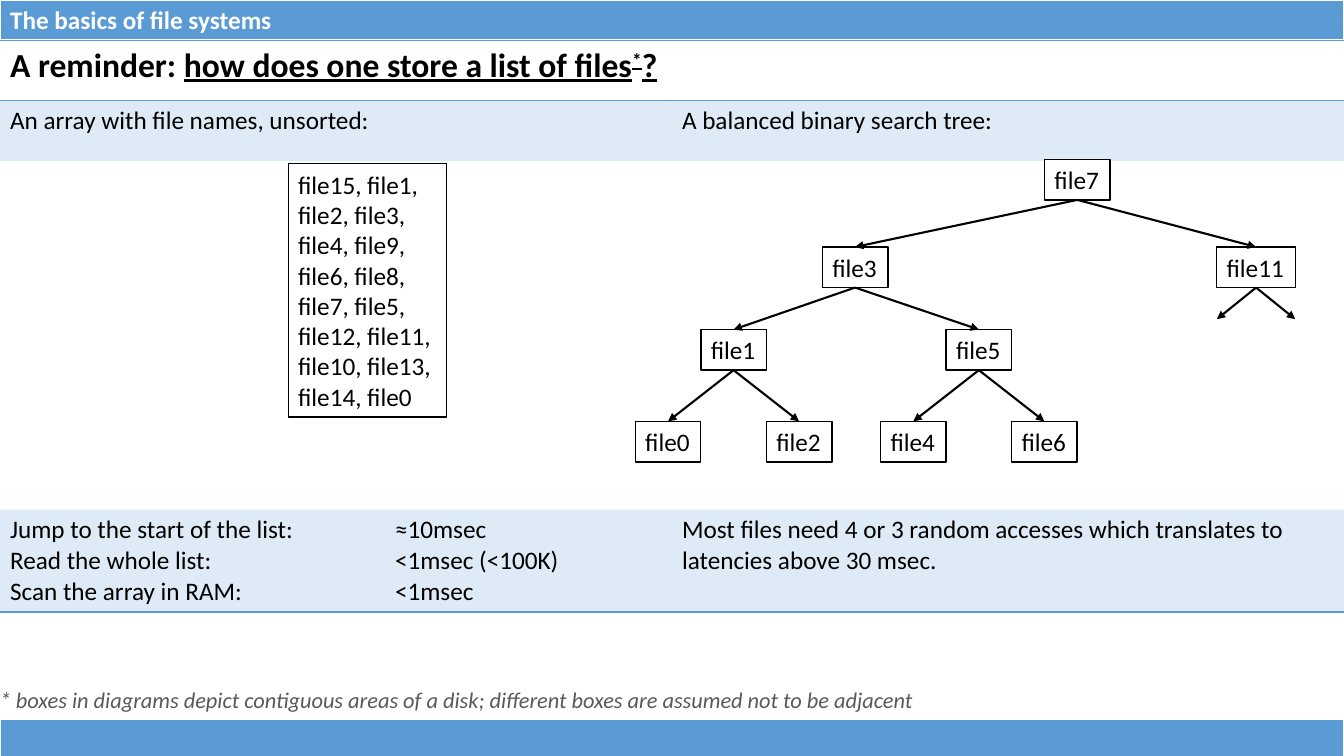
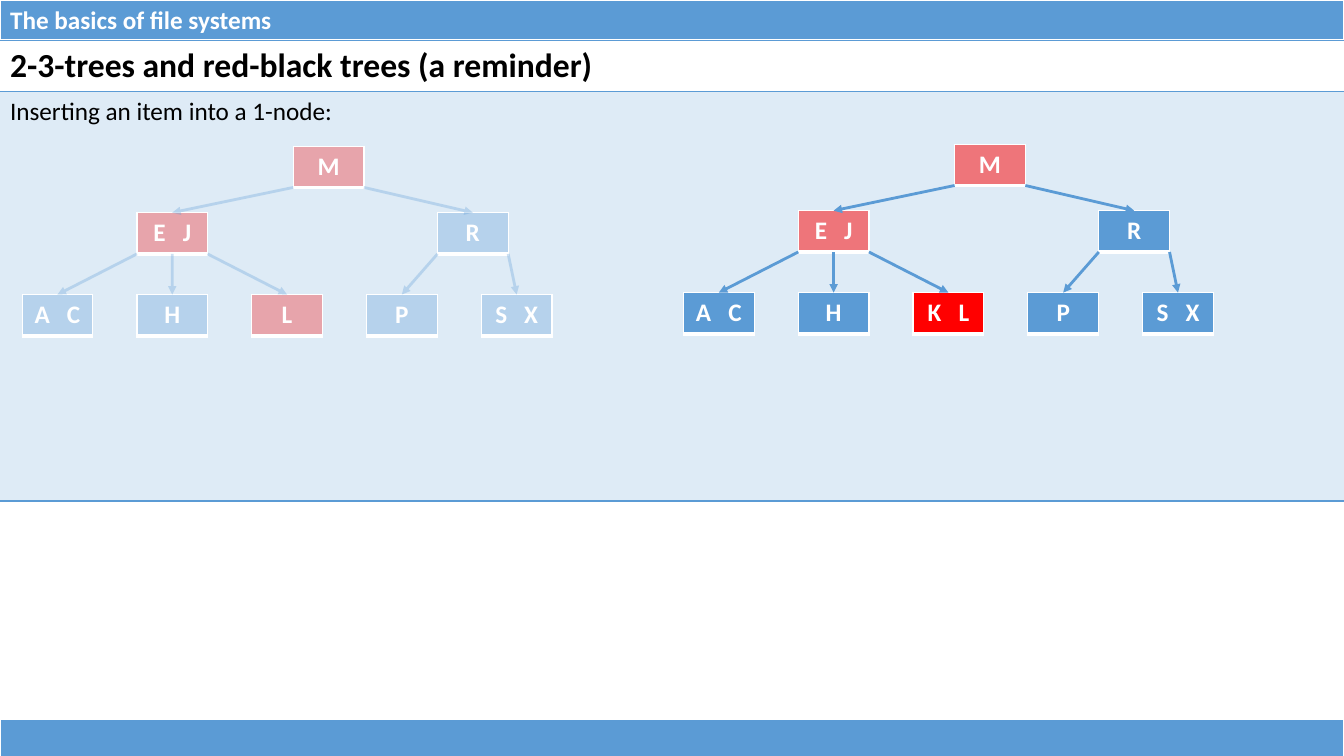
"""Build two slides on file lists and balanced search trees."""
import lxml.etree
import pptx
import pptx.dml.color
import pptx.enum.shapes
import pptx.enum.text
import pptx.oxml.ns
import pptx.util

Pt = pptx.util.Pt
qn = pptx.oxml.ns.qn

WIDE, HIGH = 960, 540
FONT = "Calibri"
BLUE, RED, BLACK, WHITE, GREY = "5B9BD5", "FF0000", "000000", "FFFFFF", "595959"
PLAIN = "{2D5ABB26-0587-4C30-8999-92F81FD0307C}"
PALE = (BLUE, 20)
FRAME = {"L": (WHITE, 1), "R": (WHITE, 1), "T": (WHITE, 1), "B": (WHITE, 3)}
RULE = {"T": (BLUE, 1), "B": (BLUE, 1)}
BASE = {"B": (BLUE, 1)}
TOPIC = "The basics of file systems"
BANDS = [(0, TOPIC), (514, "")]
BAND = 28.8

LINE = {"u": "sng"}
ASK = [
    ("A reminder: ", {}),
    ("how does one store a list of files", LINE),
    ("*", {"u": "sng", "baseline": "30000"}),
    ("?", LINE),
]
COLS = [275, 205, 480]
ROWS = [42.8, 43.5, 249, 72.5]
HEADS = ["An array with file names, unsorted:", "", "A balanced binary search tree:"]
COSTS = [
    ["Jump to the start of the list:", "Read the whole list:", "Scan the array in RAM:"],
    ["≈10msec", "<1msec (<100K)", "<1msec"],
    ["Most files need 4 or 3 random accesses which translates to latencies above 30 msec."],
]
NOTE = "* boxes in diagrams depict contiguous areas of a disk; different boxes are assumed not to be adjacent"
FILES = [
    "file15, file1,", "file2, file3,", "file4, file9,", "file6, file8,",
    "file7, file5,", "file12, file11,", "file10, file13,", "file14, file0",
]
TOPS = [113.8, 176.4, 235.4, 301]
BOX = 29
LEAF = 46.8
FORK = 28
NODES = {
    "file7": (769.5, 0, None),
    "file3": (610.8, 1, "file7"),
    "file11": (897.2, 1, "file7"),
    "file1": (524, 2, "file3"),
    "file5": (699.2, 2, "file3"),
    "file0": (524 - LEAF, 3, "file1"),
    "file2": (524 + LEAF, 3, "file1"),
    "file4": (699.2 - LEAF, 3, "file5"),
    "file6": (699.2 + LEAF, 3, "file5"),
}

TITLE = "2-3-trees and red-black trees (a reminder)"
LEAD = "Inserting an item into a 1-node:"
STEP, KEYW, KEYH = 82, 50.5, 29.5
DROPS = [0, 47.5, 106]
TREE = [
    ("M", 193.7, 0, None),
    ("E J", STEP, 1, 0),
    ("R", 296.7, 1, 0),
    ("A C", 0, 2, 1),
    ("H", STEP, 2, 1),
    ("L", 2 * STEP, 2, 1),
    ("P", 3 * STEP, 2, 2),
    ("S X", 4 * STEP, 2, 2),
]
STAGES = [
    {"at": (15.8, 104.4), "base": (BLUE, 30), "new": {},
     "hot": {0: (RED, 30), 1: (RED, 30), 5: (RED, 30)}},
    {"at": (488.2, 103), "base": (BLUE, 100), "new": {5: "K L"},
     "hot": {0: (RED, 50), 1: (RED, 50), 5: (RED, 100)}},
]


def rgb(code):
    return pptx.dml.color.RGBColor.from_string(code)


def paint(fill, code, alpha=100):
    fill.solid()
    fill.fore_color.rgb = rgb(code)
    if alpha < 100:
        tone = fill._xPr.find(qn("a:solidFill")).find(qn("a:srgbClr"))
        lxml.etree.SubElement(tone, qn("a:alpha"), val=str(alpha * 1000))


def write(frame, paras, size=18, color=BLACK, bold=False, italic=False, center=False):
    for num, runs in enumerate(paras):
        para = frame.add_paragraph() if num else frame.paragraphs[0]
        if center:
            para.alignment = pptx.enum.text.PP_ALIGN.CENTER
        for text, extra in [(runs, {})] if isinstance(runs, str) else runs:
            run = para.add_run()
            run.text = text
            font = run.font
            font.name, font.size = FONT, Pt(size)
            font.bold, font.italic = bold, italic
            font.color.rgb = rgb(color)
            for key, val in extra.items():
                run._r.get_or_add_rPr().set(key, val)


def edge(cell, sides):
    props = cell._tc.get_or_add_tcPr()
    for side in "LRTB":
        if side in sides:
            code, width = sides[side]
            line = lxml.etree.SubElement(props, qn("a:ln" + side), w=str(Pt(width)))
            fill = lxml.etree.SubElement(line, qn("a:solidFill"))
            lxml.etree.SubElement(fill, qn("a:srgbClr"), val=code)


def grid(slide, left, top, cols, rows):
    shape = slide.shapes.add_table(
        len(rows), len(cols), Pt(left), Pt(top), Pt(sum(cols)), Pt(sum(rows)))
    table = shape.table
    table.first_row = table.horz_banding = False
    table._tbl.tblPr.find(qn("a:tableStyleId")).text = PLAIN
    for col, width in zip(table.columns, cols):
        col.width = Pt(width)
    for row, height in zip(table.rows, rows):
        row.height = Pt(height)
    return table


def tile(slide, left, top, width, height, runs, fill, center=False):
    cell = grid(slide, left, top, [width], [height]).cell(0, 0)
    edge(cell, FRAME)
    paint(cell.fill, *fill)
    if runs:
        write(cell.text_frame, [runs], color=WHITE, bold=True, center=center)


def arrow(slide, start, end, width, code, alpha=100):
    kind = pptx.enum.shapes.MSO_CONNECTOR.STRAIGHT
    link = slide.shapes.add_connector(kind, *[Pt(val) for val in (*start, *end)])
    link.line.width = Pt(width)
    paint(link.line.fill, code, alpha)
    lxml.etree.SubElement(link.line._get_or_add_ln(), qn("a:tailEnd"), type="triangle")
    lxml.etree.SubElement(link._element.spPr, qn("a:effectLst"))


def box(slide, left, top, width, height, paras):
    kind = pptx.enum.shapes.MSO_SHAPE.RECTANGLE
    shape = slide.shapes.add_shape(kind, Pt(left), Pt(top), Pt(width), Pt(height))
    shape.shadow.inherit = False
    paint(shape.fill, WHITE)
    shape.line.width = Pt(1)
    paint(shape.line.fill, BLACK)
    frame = shape.text_frame
    frame.word_wrap = False
    write(frame, paras)
    for para in frame.paragraphs:
        para.alignment = pptx.enum.text.PP_ALIGN.LEFT


def start(deck):
    slide = deck.slides.add_slide(deck.slide_layouts[6])
    for top, text in BANDS:
        tile(slide, 0, top, WIDE, BAND, text, (BLUE,))
    return slide


def lists(deck):
    slide = start(deck)
    table = grid(slide, 0, BAND, COLS, ROWS)
    for num in range(len(COLS)):
        edge(table.cell(0, num), RULE)
        edge(table.cell(3, num), BASE)
        for row in (1, 3):
            paint(table.cell(row, num).fill, *PALE)
        if HEADS[num]:
            write(table.cell(1, num).text_frame, [HEADS[num]])
        write(table.cell(3, num).text_frame, COSTS[num])
    write(table.cell(0, 0).text_frame, [ASK], size=24, bold=True)
    for row, last in ((0, 2), (1, 1), (2, 1)):
        table.cell(row, 0).merge(table.cell(row, last))

    note = slide.shapes.add_textbox(Pt(-7.2), Pt(486.7), Pt(697), Pt(26.6)).text_frame
    note.word_wrap = False
    write(note, [NOTE], size=16, color=GREY, italic=True)
    box(slide, 205.9, 116.6, 113, 181.4, FILES)
    for name, (mid, level, up) in NODES.items():
        width = 46.8 if len(name) < 6 else 56.2
        box(slide, mid - width / 2, TOPS[level], width, BOX, [name])
    links = [(up, mid, TOPS[level]) for mid, level, up in NODES.values() if up]
    tip = NODES["file11"][0]
    links += [("file11", tip + side, 228) for side in (-FORK, FORK)]
    for up, mid, top in links:
        head, level, _ = NODES[up]
        arrow(slide, (head, TOPS[level] + BOX), (mid, top), 1.5, BLACK)


def trees(deck):
    slide = start(deck)
    table = grid(slide, 0, BAND, [WIDE], [36.6, 292.5])
    head, body = table.cell(0, 0), table.cell(1, 0)
    edge(head, RULE)
    edge(body, BASE)
    paint(body.fill, *PALE)
    write(head.text_frame, [TITLE], size=24, bold=True)
    write(body.text_frame, [LEAD])
    for stage in STAGES:
        left, top = stage["at"]
        for num, (keys, shift, level, up) in enumerate(TREE):
            runs = [(key, {"spc": "810"} if key == " " else {})
                    for key in stage["new"].get(num, keys)]
            tile(slide, left + shift, top + DROPS[level], KEYW, KEYH, runs,
                 stage["hot"].get(num, stage["base"]), center=True)
        for keys, shift, level, up in TREE:
            if up is not None:
                place, rank = TREE[up][1:3]
                turn = (shift > place) - (shift < place)
                tail = left + place + KEYW * (1 + turn) / 2
                arrow(slide, (tail, top + DROPS[rank] + KEYH),
                      (left + shift + KEYW / 2, top + DROPS[level]), 2, *stage["base"])


def main():
    deck = pptx.Presentation()
    deck.slide_width, deck.slide_height = Pt(WIDE), Pt(HIGH)
    lists(deck)
    trees(deck)
    deck.save("out.pptx")


if __name__ == "__main__":
    main()
